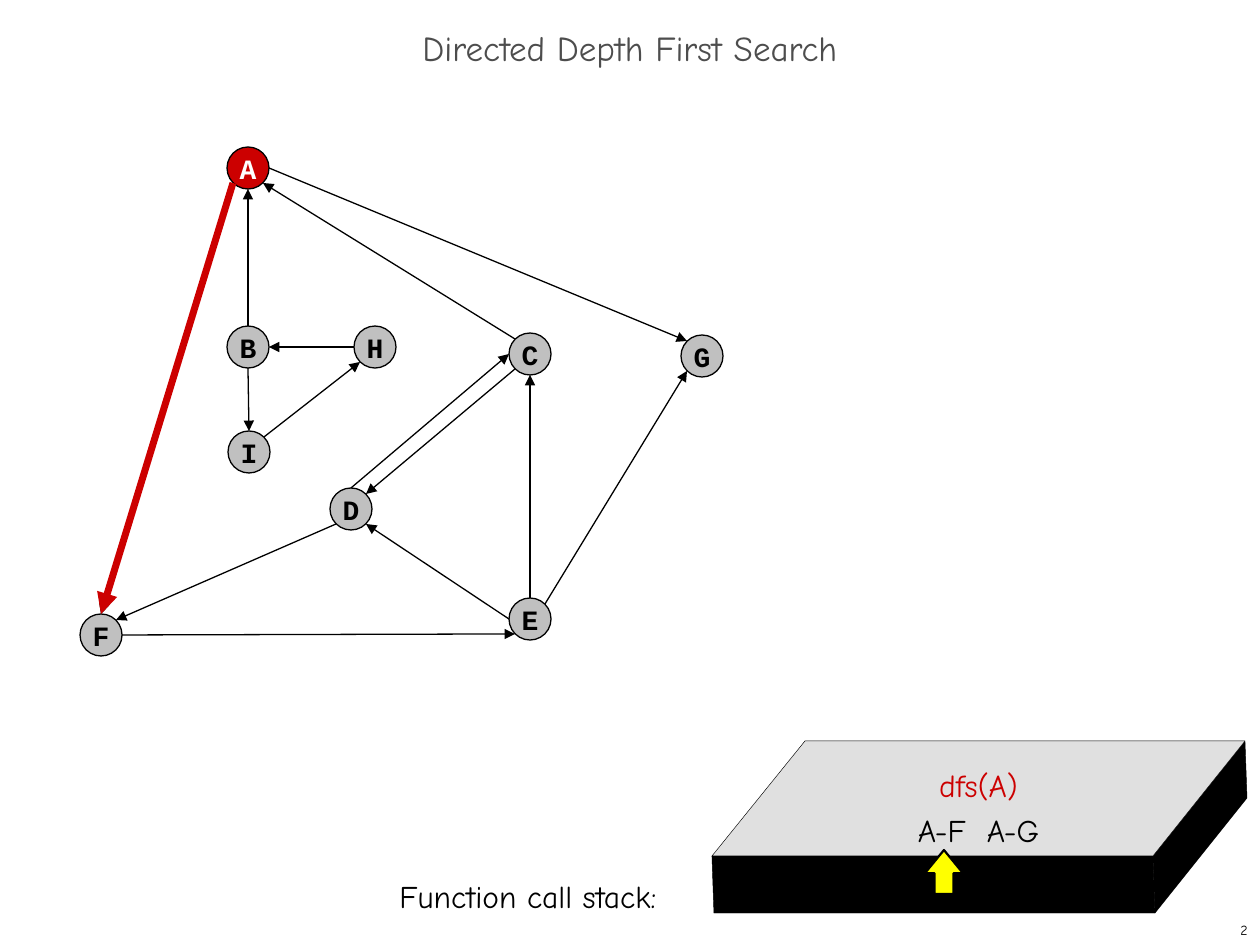
import pptx
import pptx.util
import pptx.dml.color
import pptx.enum.shapes
import pptx.enum.text
import lxml.etree
import pptx.oxml.ns

RGB = pptx.dml.color.RGBColor
SHAPE = pptx.enum.shapes.MSO_SHAPE
ALIGN = pptx.enum.text.PP_ALIGN
ANCHOR = pptx.enum.text.MSO_ANCHOR

BLACK = RGB(0x00, 0x00, 0x00)
WHITE = RGB(0xFF, 0xFF, 0xFF)
RED = RGB(0xCC, 0x00, 0x00)
NODE_GRAY = RGB(0xC0, 0xC0, 0xC0)
TOP_GRAY = RGB(0xE0, 0xE0, 0xE0)
TITLE_GRAY = RGB(0x4D, 0x4D, 0x4D)
YELLOW = RGB(0xFF, 0xFF, 0x00)
BODY_FONT = "Comic Neue"
NODE_FONT = "Courier New"

TITLE = "Directed Depth First Search"
STACK_LABEL = "Function call stack:"
PAGE_NUMBER = "2"
CALL_LINES = [("dfs(A)", RED), ("A-F  A-G", BLACK)]

# Node centres, px
NODES = {
    "F": (101, 635), "A": (248, 168), "B": (248, 347),
    "C": (530, 354), "G": (702, 356), "D": (351, 509),
    "E": (530, 619), "H": (375, 347), "I": (249, 452),
}
CURRENT_NODE = "A"
RADIUS = 21
DIAGONAL = 15
COMPASS = {
    "n": (0, -RADIUS), "s": (0, RADIUS), "w": (-RADIUS, 0), "e": (RADIUS, 0),
    "nw": (-DIAGONAL, -DIAGONAL), "ne": (DIAGONAL, -DIAGONAL),
    "sw": (-DIAGONAL, DIAGONAL), "se": (DIAGONAL, DIAGONAL),
}
# Source node, side it leaves, target node, side it enters
CURRENT_EDGE = ("A", "sw", "F", "n")
EDGES = [
    CURRENT_EDGE,
    ("C", "nw", "A", "se"), ("A", "e", "G", "nw"), ("E", "w", "D", "se"),
    ("F", "e", "E", "sw"), ("D", "sw", "F", "ne"), ("E", "ne", "G", "sw"),
    ("E", "n", "C", "s"), ("C", "sw", "D", "ne"), ("D", "n", "C", "w"),
    ("B", "n", "A", "s"), ("H", "w", "B", "e"), ("I", "ne", "H", "sw"),
    ("B", "s", "I", "n"),
]

# Corners of the stack slab, px
BACK_LEFT, BACK_RIGHT = (805, 741), (1245, 741)
FRONT_LEFT, FRONT_RIGHT = (712, 856), (1153, 856)
SLAB_DROP = (2, 57)

EMU_PER_PX = 914400 / 126


def px(length):
    return pptx.util.Emu(round(length * EMU_PER_PX))


def write(shape, lines, size, font=BODY_FONT, color=BLACK, bold=False,
          align=ALIGN.CENTER, anchor=ANCHOR.MIDDLE, wrap=True,
          spacing=None, gap=0):
    """Each line is a string, or a (string, colour) pair."""
    frame = shape.text_frame
    frame.word_wrap = wrap
    frame.vertical_anchor = anchor
    for index, line in enumerate(lines):
        text, line_color = (line, color) if isinstance(line, str) else line
        paragraph = frame.add_paragraph() if index else frame.paragraphs[0]
        paragraph.alignment = align
        paragraph.space_before = pptx.util.Pt(gap if index else 0)
        if spacing:
            paragraph.line_spacing = spacing
        run = paragraph.add_run()
        run.text = text
        run.font.size = pptx.util.Pt(size)
        run.font.name = font
        run.font.bold = bold
        run.font.color.rgb = line_color


def paint(shape, fill, line_width):
    shape.shadow.inherit = False
    shape.fill.solid()
    shape.fill.fore_color.rgb = fill
    shape.line.color.rgb = BLACK
    shape.line.width = pptx.util.Pt(line_width)


def add_text(slide, box, text, size, **text_format):
    label = slide.shapes.add_textbox(*map(px, box))
    write(label, [text], size, **text_format)


def add_node(slide, name, center):
    x, y = center
    current = name == CURRENT_NODE
    node = slide.shapes.add_shape(
        SHAPE.OVAL, px(x - RADIUS), px(y - RADIUS), px(2 * RADIUS), px(2 * RADIUS))
    paint(node, RED if current else NODE_GRAY, 0.75)
    write(node, [name], 16, font=NODE_FONT, bold=True, wrap=False,
          color=WHITE if current else BLACK)


def node_side(name, side):
    return [px(c + offset) for c, offset in zip(NODES[name], COMPASS[side])]


def add_edge(slide, edge, color=BLACK, width=0.75):
    source, leaving, target, entering = edge
    arrow = slide.shapes.add_connector(
        pptx.enum.shapes.MSO_CONNECTOR.STRAIGHT,
        *node_side(source, leaving), *node_side(target, entering))
    arrow.line.color.rgb = color
    arrow.line.width = pptx.util.Pt(width)
    qn = pptx.oxml.ns.qn
    line = arrow.line._get_or_add_ln()
    lxml.etree.SubElement(line, qn("a:tailEnd"), type="triangle")
    lxml.etree.SubElement(line.getparent(), qn("a:effectLst"))


def add_face(slide, corners, fill):
    builder = slide.shapes.build_freeform(*corners[0], scale=EMU_PER_PX)
    builder.add_line_segments(corners[1:], close=True)
    face = builder.convert_to_shape()
    paint(face, fill, 0.25)
    return face


def add_slab(slide):
    low_left, low_right, low_back = [
        (x + SLAB_DROP[0], y + SLAB_DROP[1])
        for x, y in (FRONT_LEFT, FRONT_RIGHT, BACK_RIGHT)]
    add_face(slide, [FRONT_LEFT, FRONT_RIGHT, low_right, low_left], BLACK)
    add_face(slide, [FRONT_RIGHT, BACK_RIGHT, low_back, low_right], BLACK)
    top = add_face(slide, [BACK_LEFT, BACK_RIGHT, FRONT_RIGHT, FRONT_LEFT], TOP_GRAY)
    write(top, CALL_LINES, 18, anchor=ANCHOR.BOTTOM, gap=4)
    top.text_frame.margin_bottom = px(7)


def main():
    deck = pptx.Presentation()
    deck.slide_width, deck.slide_height = px(1260), px(945)
    slide = deck.slides.add_slide(deck.slide_layouts[5])

    title = slide.shapes.title
    title.left, title.top, title.width, title.height = map(px, (0, 21, 1260, 63))
    write(title, [TITLE], 20, color=TITLE_GRAY, spacing=0.7)

    for name, center in NODES.items():
        add_node(slide, name, center)
    for edge in EDGES:
        add_edge(slide, edge)
    add_edge(slide, CURRENT_EDGE, RED, 4)

    add_slab(slide)
    add_text(slide, (369, 871, 318, 50), STACK_LABEL, 18, anchor=ANCHOR.TOP)
    pointer = slide.shapes.add_shape(SHAPE.UP_ARROW, *map(px, (925, 850, 38, 44)))
    pointer.adjustments[0], pointer.adjustments[1] = 0.5, 0.61
    paint(pointer, YELLOW, 1.25)

    add_text(slide, (998, 914, 262, 31), PAGE_NUMBER, 8, align=ALIGN.RIGHT)
    deck.save("out.pptx")


if __name__ == "__main__":
    main()
